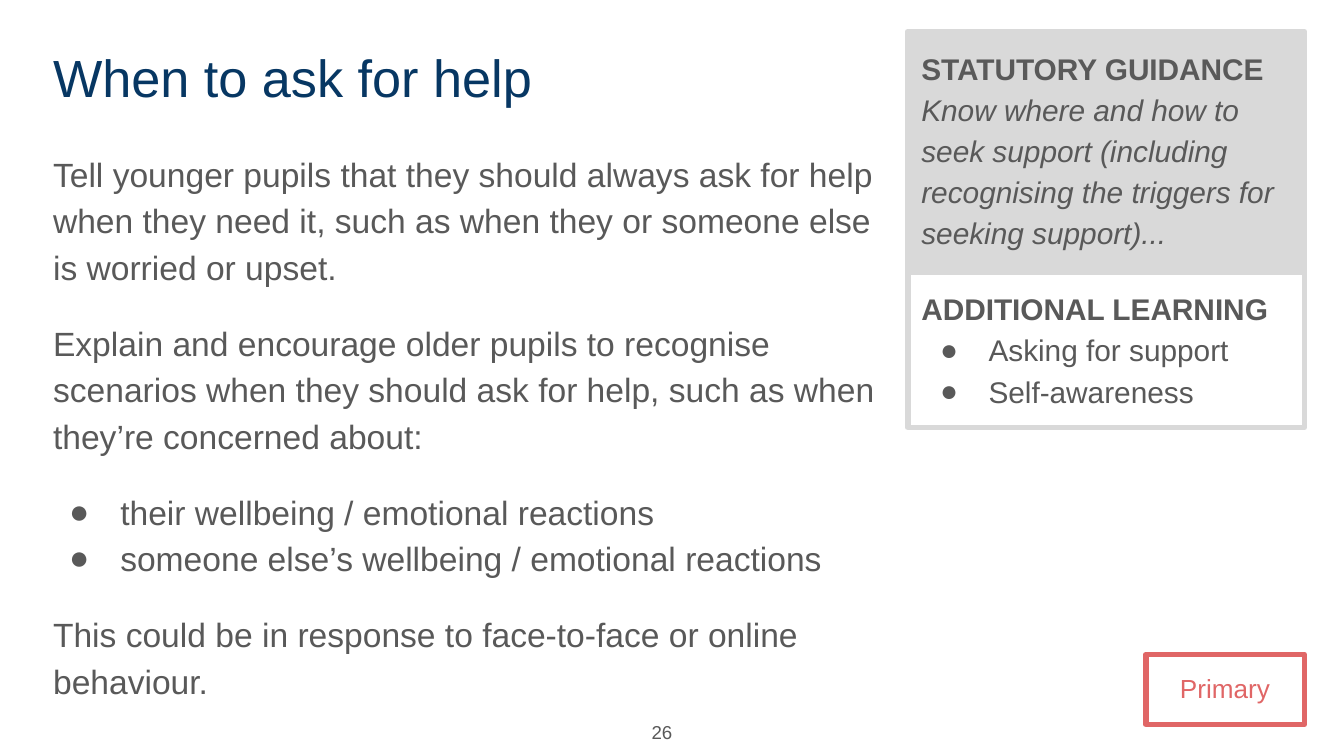
"""Build the "When to ask for help" teaching slide."""
from lxml import etree
from pptx import Presentation
from pptx import util as u
from pptx.dml.color import RGBColor
from pptx.enum import text
from pptx.oxml.ns import qn

PX = 4572
THEME = {
    "font": "Arial",
    "navy": RGBColor.from_string("073763"),
    "grey": RGBColor.from_string("595959"),
    "panel": RGBColor.from_string("D9D9D9"),
    "coral": RGBColor.from_string("E06666"),
    "title": 28, "body": 18, "panel_text": 16, "phase": 14, "number": 10,
}
LEFT, CENTER, RIGHT = text.PP_ALIGN.LEFT, text.PP_ALIGN.CENTER, text.PP_ALIGN.RIGHT
TOP, MIDDLE = text.MSO_ANCHOR.TOP, text.MSO_ANCHOR.MIDDLE


def set_bullet(paragraph, hang):
    props = paragraph._p.get_or_add_pPr()
    props.set("marL", str(100 * PX if hang else 0))
    props.set("indent", str(-hang * PX))
    if not hang:
        etree.SubElement(props, qn("a:buNone"))
        return
    color = etree.SubElement(props, qn("a:buClr"))
    etree.SubElement(color, qn("a:srgbClr"), val=str(THEME["grey"]))
    etree.SubElement(props, qn("a:buFont"), typeface=THEME["font"])
    etree.SubElement(props, qn("a:buChar"), char="●")


def write(shape, box, paragraphs, size, color="grey", align=LEFT, anchor=TOP, spacing=1.15):
    for side, length in zip(("left", "top", "width", "height"), box):
        setattr(shape, side, length * PX)
    frame = shape.text_frame
    frame_format = {"word_wrap": True, "auto_size": text.MSO_AUTO_SIZE.NONE, "vertical_anchor": anchor}
    frame_format.update({f"margin_{side}": 20 * PX for side in ("left", "top", "right", "bottom")})
    for name, value in frame_format.items():
        setattr(frame, name, value)
    for i, (before, hang, runs) in enumerate(paragraphs):
        paragraph = frame.add_paragraph() if i else frame.paragraphs[0]
        paragraph_format = {"alignment": align, "line_spacing": spacing,
                            "space_before": u.Pt(before), "space_after": u.Pt(0)}
        for name, value in paragraph_format.items():
            setattr(paragraph, name, value)
        set_bullet(paragraph, hang)
        for words, style in runs:
            run = paragraph.add_run()
            run.text = words
            run.font.color.rgb = THEME[color]
            font_format = {"name": THEME["font"], "size": u.Pt(THEME[size]),
                           "bold": style == "bold", "italic": style == "italic"}
            for name, value in font_format.items():
                setattr(run.font, name, value)


deck = Presentation()
deck.slide_width, deck.slide_height = 2000 * PX, 1125 * PX
slide = deck.slides.add_slide(deck.slide_layouts.get_by_name("Comparison"))
title, advice, guidance, learning, phase = slide.placeholders

write(title, (59, 48, 1320, 126), [(0, 0, [("When to ask for help", "")])],
      "title", color="navy", spacing=1.0)

write(advice, (59, 200, 1264, 824), [
    (0, 0, [("Tell younger pupils that they should always ask for help when they need it, "
             "such as when they or someone else is worried or upset.", "")]),
    (16, 0, [("Explain and encourage older pupils to recognise scenarios when they should "
              "ask for help, such as when they’re concerned about:", "")]),
    (16, 76, [("their wellbeing / emotional reactions", "")]),
    (0, 76, [("someone else’s wellbeing / emotional reactions", "")]),
    (16, 0, [("This could be in response to face-to-face or online behaviour.", "")]),
], "body")

write(guidance, (1351, 47, 590, 358), [
    (0, 0, [("STATUTORY GUIDANCE ", "bold"),
            ("Know where and how to seek support (including recognising the triggers "
             "for seeking support)...", "italic")]),
], "panel_text")
guidance.fill.solid()
guidance.fill.fore_color.rgb = THEME["panel"]

write(learning, (1351, 405, 590, 231), [
    (0, 0, [("ADDITIONAL LEARNING", "bold")]),
    (0, 72, [("Asking for support", "")]),
    (0, 72, [("Self-awareness", "")]),
], "panel_text")

write(phase, (1705, 974, 236, 104), [(0, 0, [("Primary", "")])],
      "phase", color="coral", align=CENTER)

for framed, outline in ((guidance, "panel"), (learning, "panel"), (phase, "coral")):
    framed.line.color.rgb = THEME[outline]
    framed.line.width = u.Pt(3)

page_number = slide.shapes.add_textbox(0, 0, PX, PX)
write(page_number, (918, 1053, 102, 74), [(0, 0, [("26", "")])],
      "number", align=RIGHT, anchor=MIDDLE, spacing=1.0)

deck.save("out.pptx")
